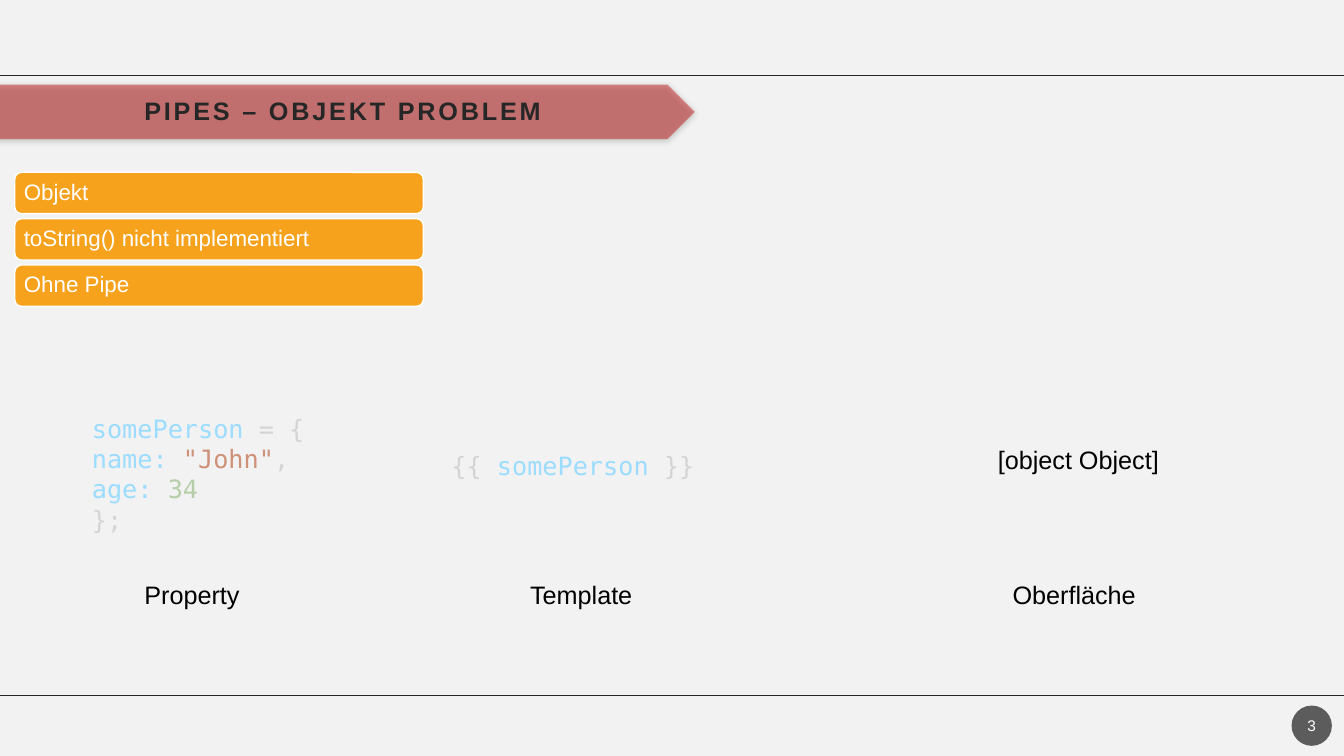
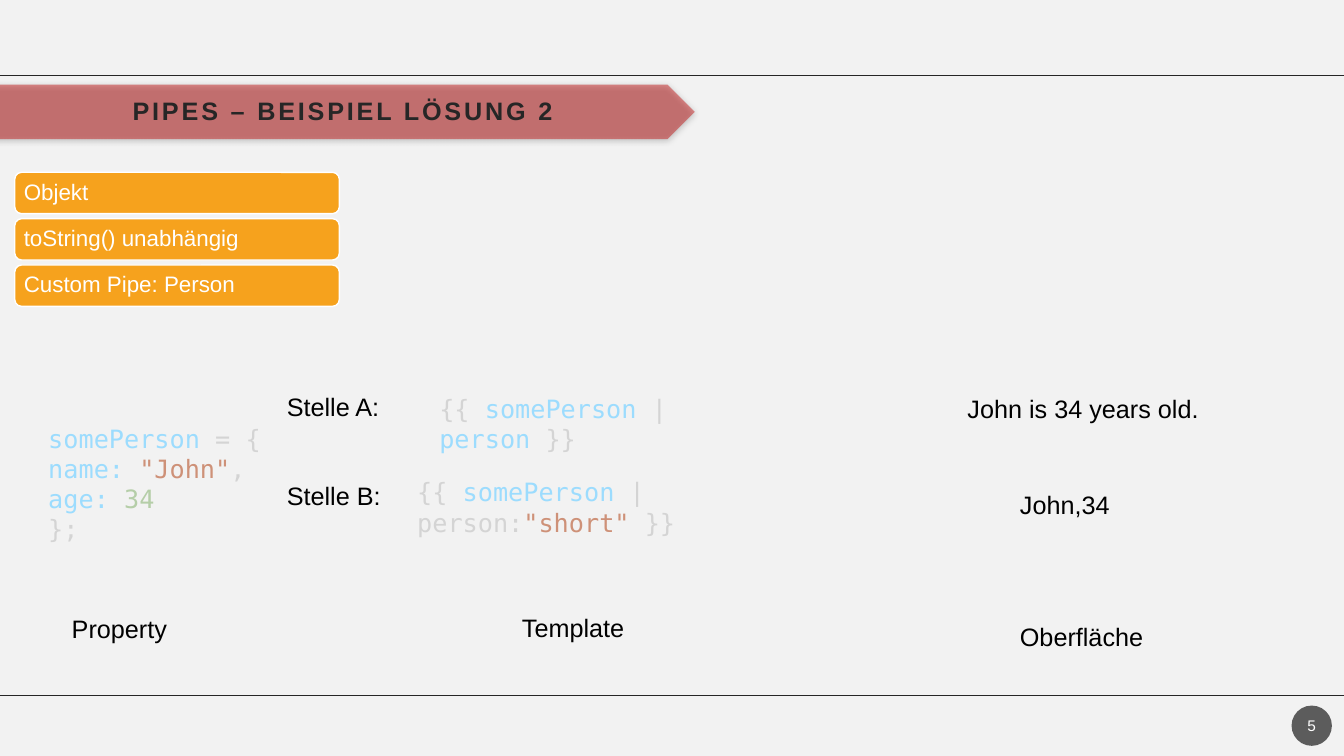
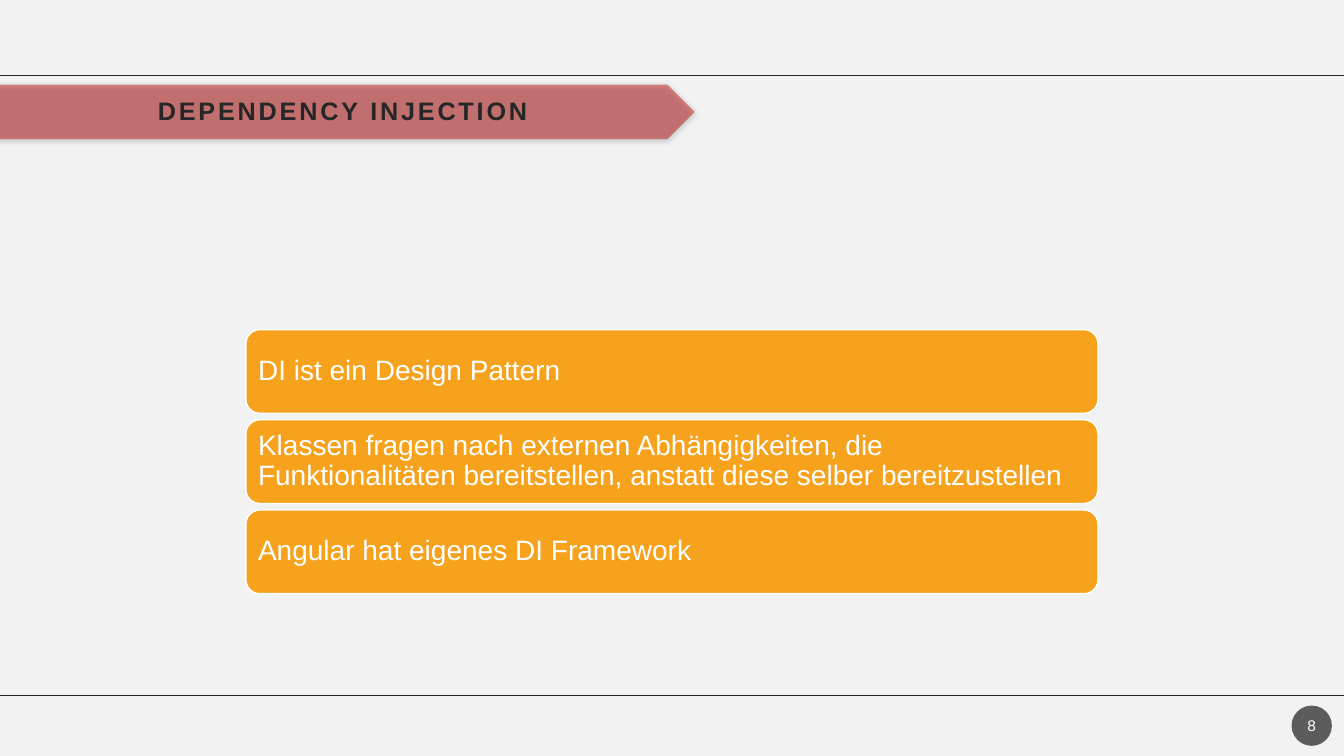
from pptx import Presentation
from pptx.dml.color import RGBColor as RGB
from pptx.enum.shapes import MSO_CONNECTOR as Conn, MSO_SHAPE as Form
from pptx.enum.text import MSO_ANCHOR as Anchor, MSO_AUTO_SIZE as Fit, PP_ALIGN as Align
from pptx.oxml.xmlchemy import OxmlElement as Node
from pptx.util import Inches, Pt

# Colours and fonts
PAPER = RGB(0xF2, 0xF2, 0xF2)
RULE = RGB(0x26, 0x26, 0x26)
RED = RGB(0xC0, 0x00, 0x00)
INK = RGB(0x26, 0x26, 0x26)
BLACK = RGB(0x00, 0x00, 0x00)
WHITE = RGB(0xFF, 0xFF, 0xFF)
AMBER = RGB(0xF6, 0xA2, 0x1D)
DARK = RGB(0x1D, 0x1D, 0x1D)
GREY = RGB(0xD4, 0xD4, 0xD4)
BLUE = RGB(0x9C, 0xDC, 0xFE)
RUST = RGB(0xCE, 0x91, 0x78)
GREEN = RGB(0xB5, 0xCE, 0xA8)
SANS, MONO = "Arial", "DejaVu Sans Mono"

WIDE, HIGH = Inches(13.33), Inches(7.5)
LINE = 5.33  # height of a one-line text box

PERSON = [
    [("somePerson", BLUE), (" = {", GREY)],
    [("name: ", BLUE), ('"John"', RUST), (",", GREY)],
    [("age: ", BLUE), ("34", GREEN)],
    [("};", GREY)],
]


def area(x, y, w, h):
    """Turn percent of the slide's width and height into lengths."""
    return [int(part * side / 100)
            for part, side in zip((x, y, w, h), (WIDE, HIGH) * 2)]


def style(run, size, color, name=SANS):
    font = run.font
    font.size, font.name, font.color.rgb = Pt(size), name, color


def pad(frame, side, top):
    frame.margin_left = frame.margin_right = Inches(side)
    frame.margin_top = frame.margin_bottom = Inches(top)
    frame.vertical_anchor = Anchor.MIDDLE
    frame.word_wrap = True


def fade(color, share):
    """Make a colour element partly transparent."""
    alpha = Node("a:alpha")
    alpha.set("val", str(share * 1000))
    color.append(alpha)


def block(slide, form, place, color, share=100):
    """Flat filled shape without a line."""
    shape = slide.shapes.add_shape(form, *area(*place))
    shape.shadow.inherit = False
    shape.fill.solid()
    shape.fill.fore_color.rgb = color
    shape.line.fill.background()
    if share < 100:
        fade(shape.element.xpath("./p:spPr/a:solidFill/a:srgbClr")[0], share)
    return shape


def rule(slide, y, width):
    x, y, w, _ = area(0, y, 100, 0)
    line = slide.shapes.add_connector(Conn.STRAIGHT, x, y, x + w, y)
    line.line.color.rgb = RULE
    line.line.width = Pt(width)
    line.element.spPr.append(Node("a:effectLst"))
    return line


def arrow(slide):
    """Title band with a soft shadow."""
    band = block(slide, Form.PENTAGON, (-0.7, 11.2, 52.4, 7.2), RED, 43)
    cast = Node("a:outerShdw")
    for key, value in (("blurRad", Pt(4.4)), ("dist", Pt(1.2)),
                       ("dir", 90 * 60000), ("rotWithShape", 0)):
        cast.set(key, str(int(value)))
    tint = Node("a:srgbClr")
    tint.set("val", str(BLACK))
    fade(tint, 45)
    cast.append(tint)
    band.element.xpath("./p:spPr/a:effectLst")[0].append(cast)
    return band


def dress(layout, slide):
    """Draw the shared parts once and hand them to the layout."""
    parts = [rule(slide, 10, 1), rule(slide, 92, 0.75), arrow(slide)]
    for key, part in enumerate(parts, 20):
        part.element.xpath(".//p:cNvPr")[0].set("id", str(key))
        layout.shapes.element.append(part.element)


def head(slide, text, page):
    """Title and page number."""
    title = slide.shapes.title
    title.left, title.top, title.width, title.height = area(1.1, 11.2, 48.8, 7.2)
    frame = title.text_frame
    frame.text = text
    frame.auto_size = Fit.NONE
    pad(frame, 0.2, 0)
    para = frame.paragraphs[0]
    para.alignment, para.line_spacing = Align.CENTER, 0.9
    run = para.runs[0]
    style(run, 18, INK)
    run.font.bold = True
    run.font._element.set("spc", "200")

    disc = block(slide, Form.OVAL, (96.1, 93.33, 3, LINE), DARK, 70)
    disc.text_frame.text = str(page)
    pad(disc.text_frame, 0.02, 0.05)
    para = disc.text_frame.paragraphs[0]
    para.alignment = Align.CENTER
    style(para.runs[0], 11, WHITE)


def stack(slide, items, x, y, w, h, gap, size=16, inset=0.07):
    """Column of rounded boxes."""
    for row, item in enumerate(items):
        place = (x, y + row * (h + gap), w, h)
        box = block(slide, Form.ROUNDED_RECTANGLE, place, AMBER)
        box.line.color.rgb = WHITE
        box.line.width = Pt(1)
        box.text_frame.text = item
        pad(box.text_frame, inset, inset)
        para = box.text_frame.paragraphs[0]
        para.alignment, para.line_spacing = Align.LEFT, 0.9
        style(para.runs[0], size, WHITE)


def write(slide, lines, x, y, w, h=LINE, name=MONO):
    """Text box of lines, each made of (text, colour) pieces."""
    frame = slide.shapes.add_textbox(*area(x, y, w, h)).text_frame
    frame.word_wrap = True
    for row, line in enumerate(lines):
        para = frame.add_paragraph() if row else frame.paragraphs[0]
        for text, color in line:
            run = para.add_run()
            run.text = text
            style(run, 18, color, name)


def label(slide, text, x, y, w=11.25):
    write(slide, [[(text, BLACK)]], x, y, w, name=SANS)


def problem(slide):
    head(slide, "PIPES – OBJEKT PROBLEM", 3)
    stack(slide, ["Objekt", "toString() nicht implementiert", "Ohne Pipe"],
          1.1, 22.8, 30.4, 5.47, 0.66)
    for text, x in (("Property", 10), ("Template", 38.7), ("Oberfläche", 74.6)):
        label(slide, text, x, 76)
    write(slide, PERSON, 6.1, 54, 17.6, 17.6)
    write(slide, [[("{{ ", GREY), ("somePerson", BLUE), (" }}", GREY)]],
          32.85, 58.9, 23)
    label(slide, "[object Object]", 73.5, 58.1, 14.5)


def answer(slide):
    head(slide, "PIPES – BEISPIEL LÖSUNG 2", 5)
    stack(slide, ["Objekt", "toString() unabhängig", "Custom Pipe: Person"],
          1.1, 22.8, 24.15, 5.47, 0.66)
    for text, x, y in (("Property", 4.6, 80.5), ("Template", 38.1, 80.4),
                       ("Oberfläche", 75.15, 81.5),
                       ("Stelle A:", 20.6, 51.1), ("Stelle B:", 20.6, 62.9),
                       ("John,34", 75.15, 64)):
        label(slide, text, x, y)
    label(slide, "John is 34 years old.", 71.25, 51.3, 24.75)
    write(slide, PERSON, 2.85, 55.3, 17.6, 17.6)
    write(slide, [[("{{ ", GREY), ("somePerson", BLUE), (" | ", GREY),
                   ("person", BLUE), (" }}", GREY)]],
          31.95, 51.3, 27.45, 2 * LINE)
    write(slide, [[("{{ ", GREY), ("somePerson", BLUE), (" | person:", GREY),
                   ('"short"', RUST), (" }}", GREY)]],
          30.3, 62.4, 36.75, 2 * LINE)


def inject(slide):
    head(slide, "DEPENDENCY INJECTION", 8)
    stack(slide, ["DI ist ein Design Pattern",
                  "Klassen fragen nach externen Abhängigkeiten, die "
                  "Funktionalitäten bereitstellen, anstatt diese selber "
                  "bereitzustellen",
                  "Angular hat eigenes DI Framework"],
          18.3, 43.6, 63.4, 11.07, 0.86, 20, 0.08)


def main():
    deck = Presentation()
    deck.slide_width, deck.slide_height = WIDE, HIGH
    back = deck.slide_master.background.fill
    back.solid()
    back.fore_color.rgb = PAPER
    layout = deck.slide_layouts[5]
    slides = [deck.slides.add_slide(layout) for _ in range(3)]
    dress(layout, slides[0])
    for fill, slide in zip((problem, answer, inject), slides):
        fill(slide)
    deck.save("out.pptx")


if __name__ == "__main__":
    main()
